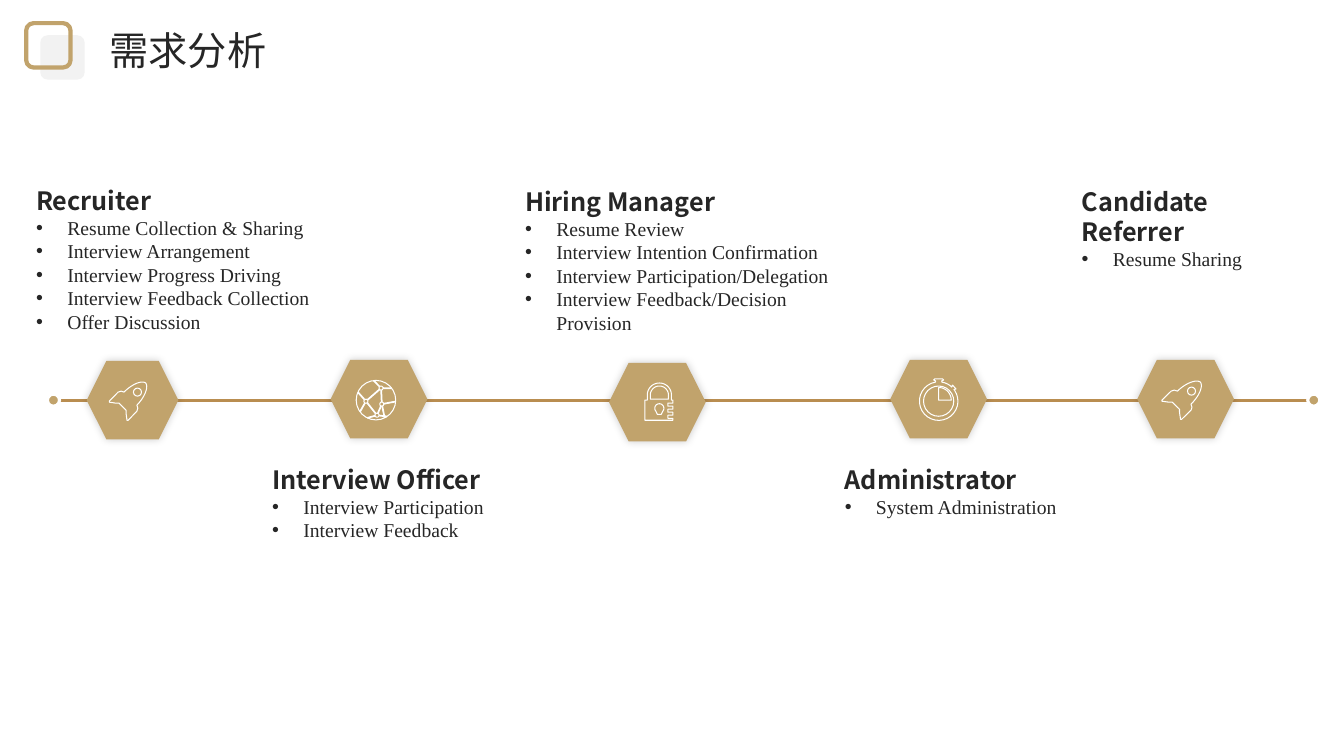
from math import cos, radians, sin

from lxml import etree
from pptx import Presentation
from pptx import util as u
from pptx.dml.color import RGBColor
from pptx.enum import shapes, text
from pptx.oxml.ns import qn

PX = 9144
GOLD = RGBColor(0xC1, 0xA3, 0x6C)
BRONZE = RGBColor(0xB9, 0x8D, 0x50)
INK = RGBColor(0x26, 0x26, 0x26)
PALE = RGBColor(0xF2, 0xF2, 0xF2)
WHITE = RGBColor(0xFF, 0xFF, 0xFF)
SANS = "Noto Sans CJK SC"
SERIF = "Times New Roman"
KIND = shapes.MSO_SHAPE
HEX_HEIGHT = 78
AXIS_Y = 397
INDENT = 31

ROLES = [
    (26, 179, 311, 158, "Recruiter",
     ["Resume Collection & Sharing", "Interview Arrangement", "Interview Progress Driving",
      "Interview Feedback Collection", "Offer Discussion"]),
    (511, 180, 341, 158, "Hiring Manager",
     ["Resume Review", "Interview Intention Confirmation",
      "Interview Participation/Delegation", "Interview Feedback/Decision Provision"]),
    (260, 456, 231, 88, "Interview Officer",
     ["Interview Participation", "Interview Feedback"]),
    (828, 456, 231, 64, "Administrator", ["System Administration"]),
    (1063, 180, 246, 64, "Candidate Referrer", ["Resume Sharing"]),
]


def polar(cx, cy, radius, degrees):
    """Returns the point at an angle, clockwise from the right."""
    return cx + radius * cos(radians(degrees)), cy + radius * sin(radians(degrees))


def arc(cx, cy, radius, start, end, steps=24):
    """Returns points along a circular arc."""
    return [polar(cx, cy, radius, start + (end - start) * i / steps)
            for i in range(steps + 1)]


def bezier(a, b, c, d, steps=10):
    """Returns points along a cubic curve."""
    ts = [i / steps for i in range(steps + 1)]
    return [tuple((1 - t) ** 3 * p + 3 * t * (1 - t) ** 2 * q
                  + 3 * t * t * (1 - t) * r + t ** 3 * s
                  for p, q, r, s in zip(a, b, c, d)) for t in ts]


class Board:
    """Draws styled elements on the current slide, with lengths in px."""

    def __init__(self, prs):
        self.slide = prs.slides.add_slide(prs.slide_layouts[6])
        self.shapes = self.slide.shapes

    def paint(self, sp, fill, line, width):
        sp.shadow.inherit = False
        if fill is None:
            sp.fill.background()
        else:
            sp.fill.solid()
            sp.fill.fore_color.rgb = fill
        if line is None:
            sp.line.fill.background()
        else:
            sp.line.color.rgb = line
            sp.line.width = u.Pt(width)
        return sp

    def shape(self, kind, box, fill=None, line=None, width=0.75):
        sp = self.shapes.add_shape(kind, *(round(v * PX) for v in box))
        return self.paint(sp, fill, line, width)

    def ring(self, cx, cy, radius, line=WHITE, width=0.75):
        box = (cx - radius, cy - radius, 2 * radius, 2 * radius)
        self.shape(KIND.OVAL, box, GOLD, line, width)

    def outline(self, points):
        spots = [(x * PX, y * PX) for x, y in points]
        builder = self.shapes.build_freeform(*spots[0])
        builder.add_line_segments(spots[1:], close=True)
        self.paint(builder.convert_to_shape(), GOLD, WHITE, 0.75)

    def line(self, start, end, color, width):
        cn = self.shapes.add_connector(shapes.MSO_CONNECTOR.STRAIGHT,
                                       *(round(v * PX) for v in (*start, *end)))
        cn.line.color.rgb = color
        cn.line.width = u.Pt(width)
        etree.SubElement(cn._element.spPr, qn("a:effectLst"))

    def hexagon(self, x, y, w):
        sp = self.shape(KIND.HEXAGON, (x, y, w, HEX_HEIGHT), GOLD)
        effects = sp.element.spPr.find(qn("a:effectLst"))
        shadow = etree.SubElement(effects, qn("a:outerShdw"), blurRad=str(u.Pt(6)),
                                  dist="0", dir="18900000", algn="ctr", rotWithShape="0")
        color = etree.SubElement(shadow, qn("a:srgbClr"), val="000000")
        etree.SubElement(color, qn("a:alpha"), val="20000")

    def rocket(self, cx, cy, size):
        hull = bezier((17, -17), (20, -13), (16, -3), (8, 5))
        fin = [(9, 8), (8, 11), (-1, 20), (-2, 20), (-3, 13), (-3, 10)]
        side = hull + fin
        mirrored = [(-y, -x) for x, y in reversed(side)]
        self.outline([(cx - 3 + x * size, cy + y) for x, y in side + mirrored])
        self.ring(cx - 3 + 8.5 * size, cy - 8, 4)

    def globe(self, cx, cy, size):
        cx, cy, radius = cx - 3 * size, cy + 1, 19 * size
        self.ring(cx, cy, radius)
        nodes = [(polar(cx, cy, reach, angle), angle)
                 for reach, angle in ((13, -67), (7, 34), (15, 86), (10, 174))]
        for i, (node, angle) in enumerate(nodes):
            self.line(node, nodes[i - 1][0], WHITE, 1.25)
            for spread in (-30, 30):
                self.line(node, polar(cx, cy, radius, angle + spread), WHITE, 1.25)
        for node, angle in nodes:
            self.ring(*node, 2)

    def lock(self, cx, cy, size):
        cx += 2
        left, right, top, bottom = cx - 14 * size, cx + 13 * size, cy - 2, cy + 18
        shackle = arc(cx, cy - 7, 12, 180, 360)
        teeth = [(x, y + dy) for y in (cy + 1, cy + 7, cy + 13)
                 for x, dy in ((right, 0), (right - 5, 0), (right - 5, 3), (right, 3))]
        self.outline([(left, top), (cx - 12, top), *shackle, (cx + 12, top),
                      (right, top), *teeth, (right, bottom), (left, bottom)])
        self.outline([(cx - 9, cy - 3), *arc(cx, cy - 7, 9, 180, 360), (cx + 9, cy - 3)])
        self.outline([*arc(cx, cy + 6, 4.5, 140, 400), (cx + 2, cy + 12), (cx - 2, cy + 12)])

    def stopwatch(self, cx, cy, size):
        cy += 2
        radius = 18.5 * size
        crown = [(cx + dx, cy + dy) for dx, dy in
                 ((-3, -20), (-5, -21), (-4, -22), (4, -22), (5, -21), (3, -20))]
        pusher = [polar(cx, cy, reach, angle) for reach, angle in
                  ((19, -47), (21, -49), (21, -35), (19, -37))]
        self.outline([*crown, *arc(cx, cy, radius, -80, -50), *pusher,
                      *arc(cx, cy, radius, -34, 260)])
        self.ring(cx, cy, 15)
        self.outline([(cx, cy - 1), *arc(cx, cy - 1, 12.5, -90, 0)])

    def milestone(self, x, y, w, icon):
        self.hexagon(x, y, w)
        icon(x + w // 2, y + HEX_HEIGHT // 2, w / 93)

    def textbox(self, box, wrap):
        tf = self.shapes.add_textbox(*(v * PX for v in box)).text_frame
        tf.word_wrap = wrap
        tf.auto_size = text.MSO_AUTO_SIZE.SHAPE_TO_FIT_TEXT
        return tf

    def run(self, p, words, size, font, bold=False):
        r = p.add_run()
        r.text = words
        r.font.size = u.Pt(size)
        r.font.name = font
        r.font.bold = bold
        r.font.color.rgb = INK
        etree.SubElement(r.font._element, qn("a:ea"), typeface=SANS)

    def title(self, box, words):
        self.run(self.textbox(box, False).paragraphs[0], words, 28, "Calibri")

    def role(self, box, name, duties):
        tf = self.textbox(box, True)
        p = tf.paragraphs[0]
        p.line_spacing = u.Pt(21.6)
        self.run(p, name, 18, SANS, True)
        for duty in duties:
            p = tf.add_paragraph()
            p.line_spacing = u.Pt(16.8)
            pPr = p._p.get_or_add_pPr()
            pPr.set("marL", str(INDENT * PX))
            pPr.set("indent", str(-INDENT * PX))
            etree.SubElement(pPr, qn("a:buFont"), typeface="Arial")
            etree.SubElement(pPr, qn("a:buChar"), char="•")
            self.run(p, duty, 14, SERIF)


def main():
    prs = Presentation()
    prs.slide_width, prs.slide_height = 1333 * PX, 750 * PX
    board = Board(prs)
    board.shape(KIND.ROUNDED_RECTANGLE, (40, 35, 44, 44), PALE)
    board.shape(KIND.ROUNDED_RECTANGLE, (26, 23, 44, 44), None, GOLD, 3)
    board.title((99, 21, 177, 57), "需求分析")
    for *box, name, duties in ROLES:
        board.role(box, name, duties)

    board.line((53, AXIS_Y), (1304, AXIS_Y), BRONZE, 2.25)
    for x in (53, 1303):
        board.ring(x, AXIS_Y, 6, WHITE, 2.25)
    for x, y, w, icon in ((86, 358, 91, board.rocket), (328, 357, 96, board.globe),
                          (604, 360, 96, board.lock), (883, 357, 96, board.stopwatch),
                          (1128, 357, 96, board.rocket)):
        board.milestone(x, y, w, icon)
    prs.save("out.pptx")


if __name__ == "__main__":
    main()
